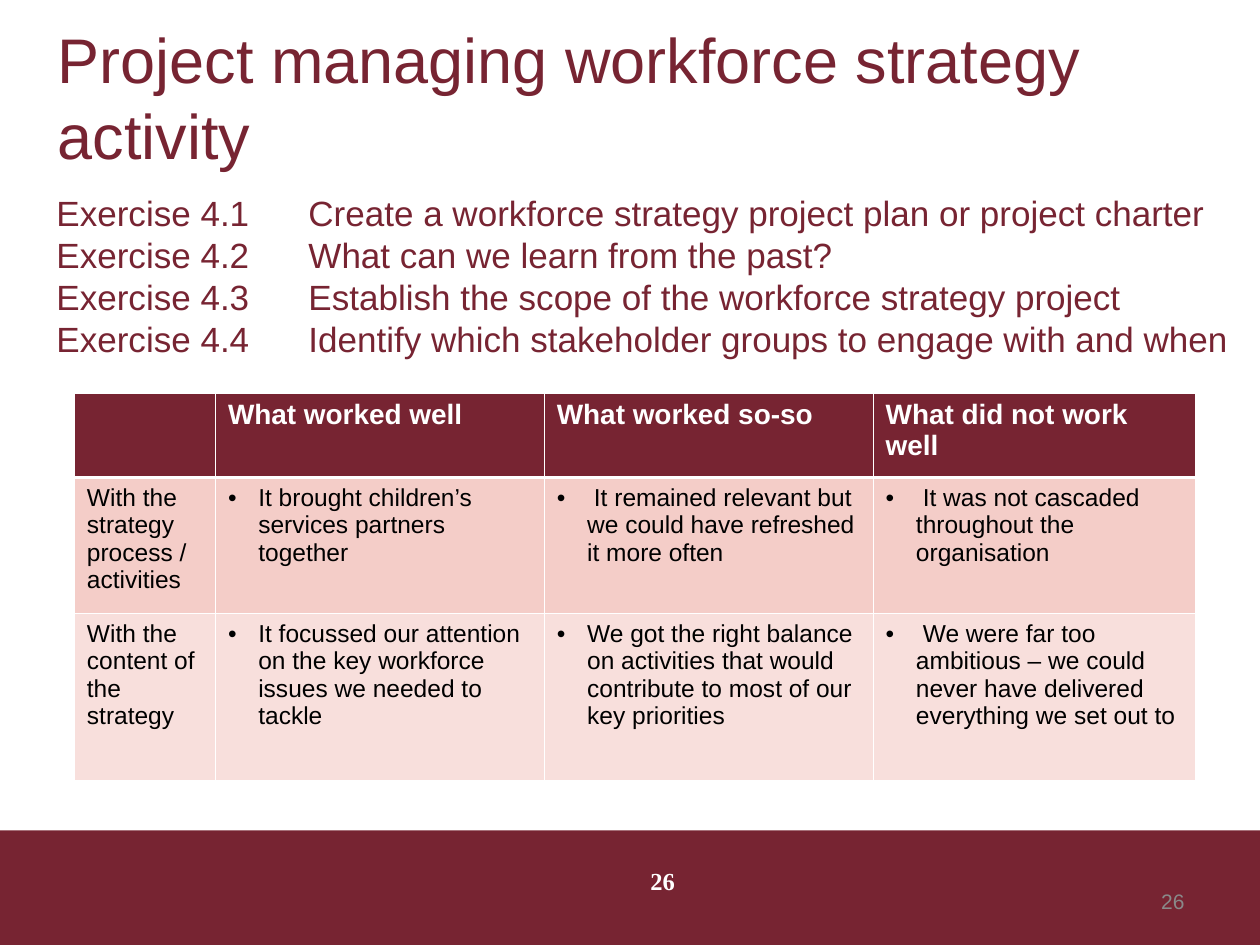
from dataclasses import dataclass

import pptx
import pptx.dml.color
import pptx.enum.shapes
import pptx.enum.text
import pptx.oxml
import pptx.oxml.ns
import pptx.util
from pptx.util import Inches

ALIGN = pptx.enum.text.PP_ALIGN
ANCHOR = pptx.enum.text.MSO_ANCHOR


@dataclass(frozen=True)
class Theme:
    maroon: str = "772432"
    white: str = "FFFFFF"
    black: str = "000000"
    grey: str = "898989"
    row_fills: tuple[str, ...] = ("772432", "F4CDC8", "F8DFDC")
    font: str = "Arial"
    number_font: str = "Times New Roman"
    title_size: int = 36
    exercise_size: int = 20
    header_size: int = 16
    body_size: int = 14
    number_size: int = 12
    thin_line: float = 0.45
    header_line: float = 1.47


@dataclass(frozen=True)
class TextStyle:
    size: int
    color: str
    font: str = Theme.font
    bold: bool = False
    align: ALIGN = ALIGN.LEFT


@dataclass(frozen=True)
class Area:
    left: float
    top: float
    width: float
    height: float

    def lengths(self) -> tuple[int, ...]:
        return tuple(Inches(v) for v in (self.left, self.top, self.width, self.height))


THEME = Theme()
EXERCISES = [
    "Create a workforce strategy project plan or project charter",
    "What can we learn from the past?",
    "Establish the scope of the workforce strategy project",
    "Identify which stakeholder groups to engage with and when",
]
REVIEW_ROWS = [
    ["", "What worked well", "What worked so-so", "What did not work well"],
    [
        "With the strategy process / activities",
        "It brought children’s services partners together",
        " It remained relevant but we could have refreshed it more often",
        " It was not cascaded throughout the organisation",
    ],
    [
        "With the content of the strategy",
        "It focussed our attention on the key workforce issues we needed to tackle",
        "We got the right balance on activities that would contribute to most of our key priorities",
        " We were far too ambitious – we could never have delivered everything we set out to",
    ],
]
COLUMN_WIDTHS = [1.12, 2.61, 2.61, 2.56]
ROW_HEIGHTS = [0.67, 1.08, 1.32]


def rgb(color: str) -> pptx.dml.color.RGBColor:
    return pptx.dml.color.RGBColor.from_string(color)


def add_xml(parent, xml: str) -> None:
    """Append a DrawingML element whose tag carries one %s for its namespace."""
    parent.append(pptx.oxml.parse_xml(xml % pptx.oxml.ns.nsdecls("a")))


def format_text(frame, style: TextStyle) -> None:
    for para in frame.paragraphs:
        para.alignment = style.align
        for span in para.runs:
            span.font.name = style.font
            span.font.size = pptx.util.Pt(style.size)
            span.font.bold = style.bold
            span.font.color.rgb = rgb(style.color)


def add_text(slide, area: Area, text: str, style: TextStyle, anchor: ANCHOR = ANCHOR.TOP):
    box = slide.shapes.add_textbox(*area.lengths())
    frame = box.text_frame
    frame.word_wrap = True
    frame.vertical_anchor = anchor
    frame.text = text
    format_text(frame, style)
    return box


def add_footer_band(slide) -> None:
    band = slide.shapes.add_shape(
        pptx.enum.shapes.MSO_SHAPE.RECTANGLE, *Area(0, 6.59, 10, 0.91).lengths()
    )
    band.shadow.inherit = False
    band.fill.solid()
    band.fill.fore_color.rgb = rgb(THEME.maroon)
    band.line.fill.background()


def set_title(slide, text: str) -> None:
    title = slide.shapes.title
    title.left, title.top, title.width, title.height = Area(0.36, 0.21, 9.21, 1.11).lengths()
    frame = title.text_frame
    frame.text = text
    frame.word_wrap = True
    frame.auto_size = pptx.enum.text.MSO_AUTO_SIZE.NONE
    frame.vertical_anchor = ANCHOR.MIDDLE
    format_text(frame, TextStyle(THEME.title_size, THEME.maroon))


def add_exercises(slide) -> None:
    lines = [f"Exercise 4.{n}\t{topic}" for n, topic in enumerate(EXERCISES, 1)]
    style = TextStyle(THEME.exercise_size, THEME.maroon)
    box = add_text(slide, Area(0.35, 1.47, 10.24, 1.44), "\n".join(lines), style)
    for para in box.text_frame.paragraphs:
        add_xml(
            para._p.get_or_add_pPr(),
            f'<a:tabLst %s><a:tab pos="{Inches(2)}" algn="l"/></a:tabLst>',
        )


def add_bullet(para) -> None:
    properties = para._p.get_or_add_pPr()
    indent = Inches(0.24)
    properties.set("marL", str(indent))
    properties.set("indent", str(-indent))
    add_xml(properties, f'<a:buClr %s><a:srgbClr val="{THEME.black}"/></a:buClr>')
    add_xml(properties, f'<a:buFont %s typeface="{THEME.font}"/>')
    add_xml(properties, '<a:buChar %s char="•"/>')


def set_borders(cell, row: int) -> None:
    """Draw thin white borders, with a heavier line below the header row."""
    widths = dict.fromkeys(("lnL", "lnR", "lnT", "lnB"), THEME.thin_line)
    if row == 0:
        widths["lnB"] = THEME.header_line
    elif row == 1:
        widths["lnT"] = THEME.header_line
    for side, width in widths.items():
        add_xml(
            cell._tc.get_or_add_tcPr(),
            f'<a:{side} %s w="{pptx.util.Pt(width)}"><a:solidFill>'
            f'<a:srgbClr val="{THEME.white}"/></a:solidFill></a:{side}>',
        )


def add_review_table(slide) -> None:
    area = Area(0.59, 3.12, sum(COLUMN_WIDTHS), sum(ROW_HEIGHTS))
    table = slide.shapes.add_table(
        len(ROW_HEIGHTS), len(COLUMN_WIDTHS), *area.lengths()
    ).table
    table.horz_banding = False
    for column, width in zip(table.columns, COLUMN_WIDTHS):
        column.width = Inches(width)
    for row, height in zip(table.rows, ROW_HEIGHTS):
        row.height = Inches(height)

    header = TextStyle(THEME.header_size, THEME.white, bold=True)
    body = TextStyle(THEME.body_size, THEME.black)
    for r, texts in enumerate(REVIEW_ROWS):
        for c, text in enumerate(texts):
            cell = table.cell(r, c)
            cell.text_frame.text = text
            set_borders(cell, r)
            cell.fill.solid()
            cell.fill.fore_color.rgb = rgb(THEME.row_fills[r])
            if r and c:
                add_bullet(cell.text_frame.paragraphs[0])
            format_text(cell.text_frame, body if r else header)


def main() -> None:
    deck = pptx.Presentation()
    deck.slide_width, deck.slide_height = Inches(10), Inches(7.5)
    slide = deck.slides.add_slide(deck.slide_layouts.get_by_name("Title Only"))

    add_footer_band(slide)
    set_title(slide, "Project managing workforce strategy activity")
    corner_number = TextStyle(THEME.number_size, THEME.grey, align=ALIGN.RIGHT)
    add_text(slide, Area(7.17, 6.95, 2.33, 0.4), "26", corner_number, ANCHOR.MIDDLE)
    add_exercises(slide)
    add_review_table(slide)
    centre_number = TextStyle(
        THEME.body_size, THEME.white, THEME.number_font, True, ALIGN.CENTER
    )
    add_text(slide, Area(4.84, 6.82, 0.84, 0.52), "26", centre_number)

    deck.save("out.pptx")


if __name__ == "__main__":
    main()
